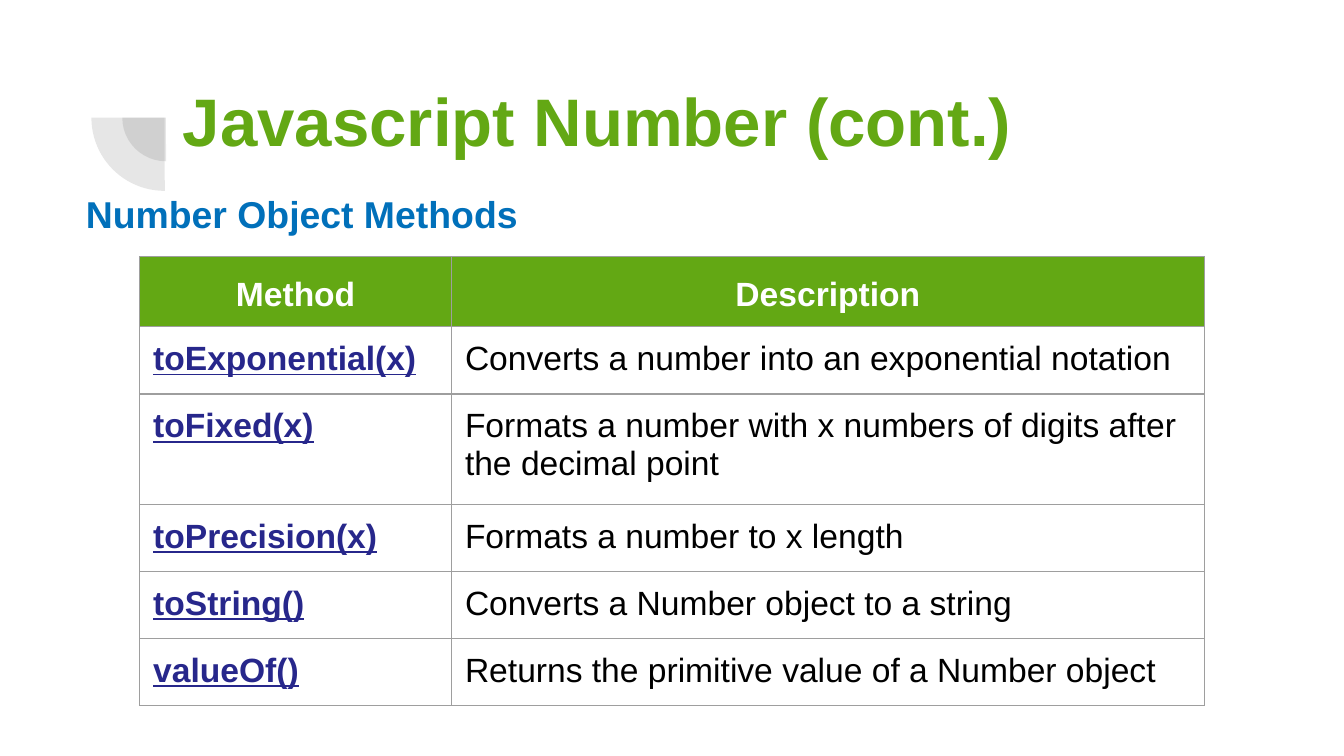
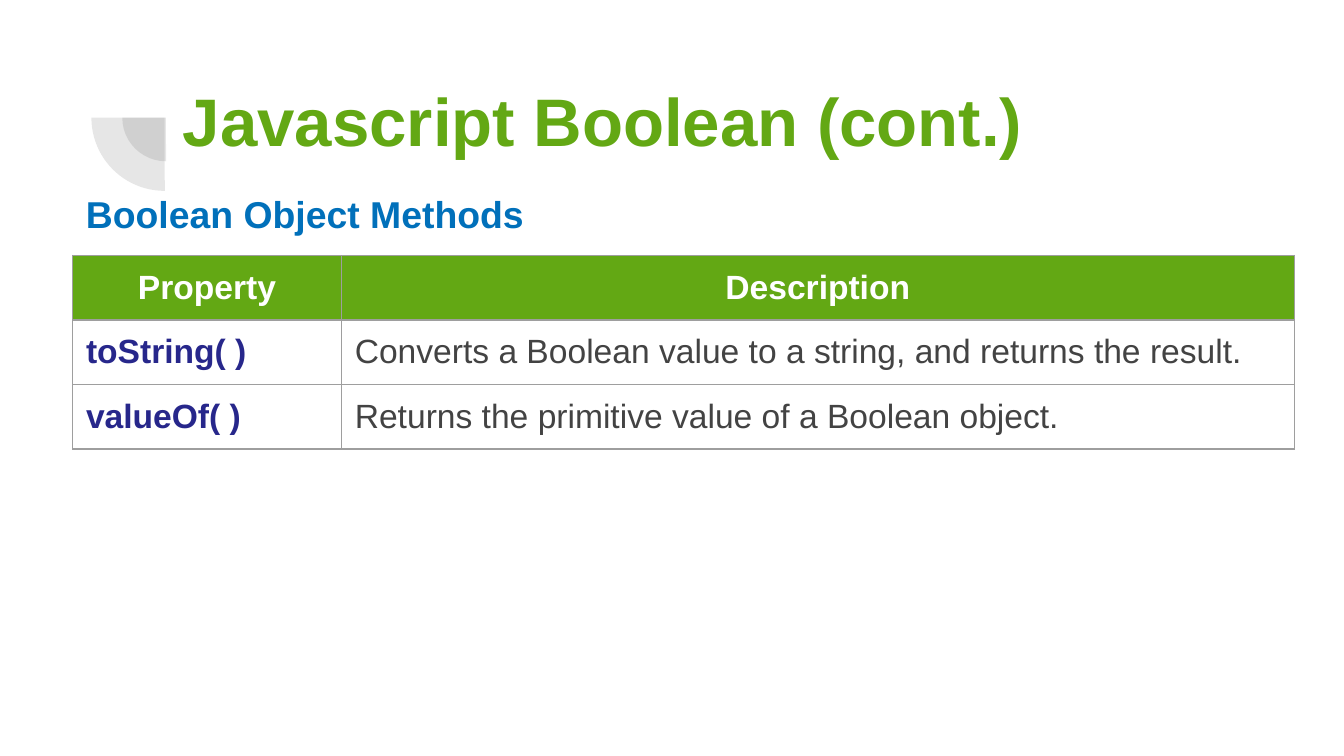
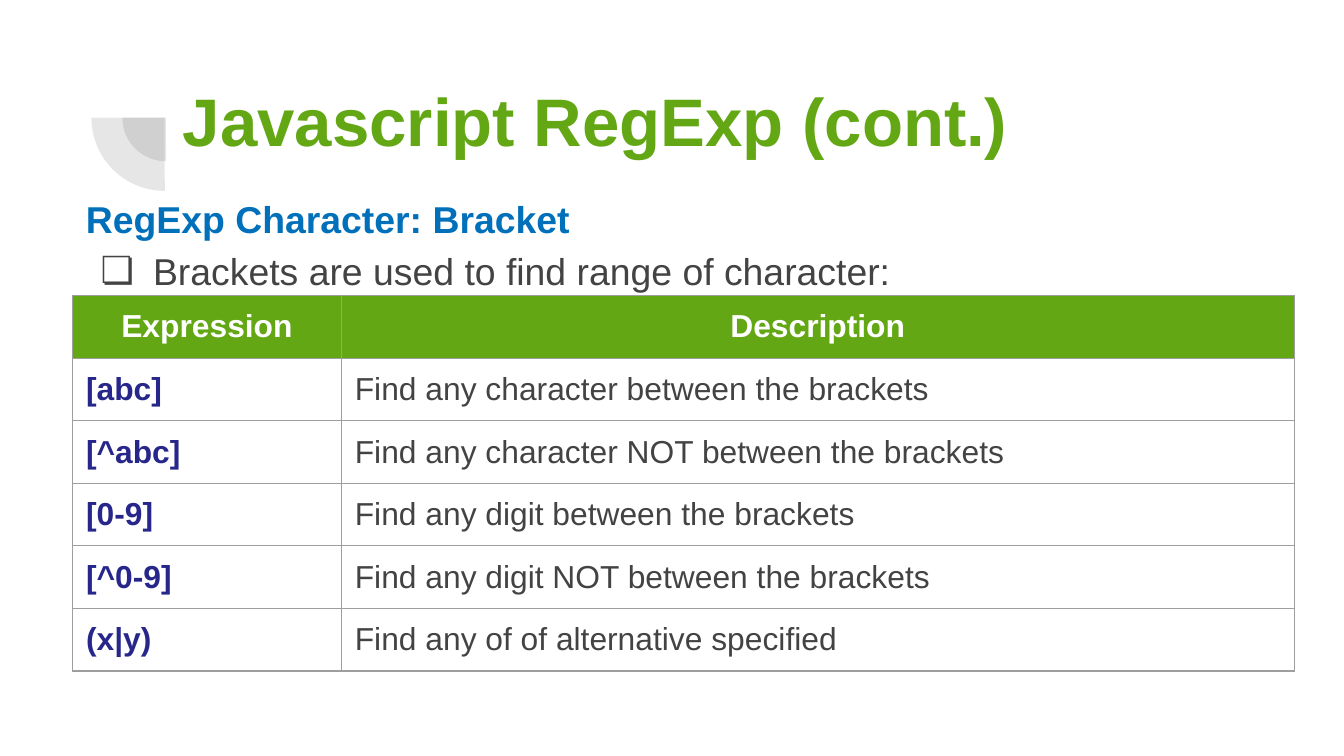
from lxml import etree
from pptx import Presentation
from pptx.dml.color import RGBColor
from pptx.enum.shapes import MSO_SHAPE
from pptx.enum.text import MSO_ANCHOR, MSO_AUTO_SIZE, PP_ALIGN
from pptx.oxml.ns import qn
from pptx.util import Inches, Pt

PIE = MSO_SHAPE.PIE
TOP = MSO_ANCHOR.TOP
NO_FIT = MSO_AUTO_SIZE.NONE
LEFT, CENTER = PP_ALIGN.LEFT, PP_ALIGN.CENTER

FONT = "Arial"
GREEN, BLUE, NAVY = "63A814", "0170BA", "27278B"
GREY, DARK, BLACK, WHITE = "434343", "424242", "000000", "FFFFFF"
BORDER = "9E9E9E"
PLAIN_TABLE_STYLE = "{2D5ABB26-0587-4C30-8999-92F81FD0307C}"
INSET = 0.1
TITLE_BOX = (1.26, 0.49, 7.73, 0.73)
ORNAMENT_BOXES = ((0.91, 0.55, 0.65, 0.65), (0.68, 0.33, 1.09, 1.09))


def rgb(value):
    return RGBColor.from_string(value)


def write(paragraph, text, size=18, color=BLACK, bold=False, underline=False,
          align=LEFT, spacing=1.0, before=0, after=0):
    paragraph.alignment = align
    paragraph.line_spacing = spacing
    paragraph.space_before = Pt(before)
    paragraph.space_after = Pt(after)
    run = paragraph.add_run()
    run.text = text
    font = run.font
    font.name, font.size = FONT, Pt(size)
    font.bold, font.underline = bold, underline
    font.color.rgb = rgb(color)


def place(shape, left, top, width, height):
    shape.left, shape.top = Inches(left), Inches(top)
    shape.width, shape.height = Inches(width), Inches(height)


def prepare(frame):
    frame.word_wrap = True
    frame.auto_size = NO_FIT
    frame.vertical_anchor = TOP
    frame.margin_left = frame.margin_right = Inches(INSET)
    frame.margin_top = frame.margin_bottom = Inches(INSET)


def add_ornament(layout, slide):
    """Build the two quarter discs and move them to the shared layout."""
    for box in ORNAMENT_BOXES:
        disc = slide.shapes.add_shape(PIE, 0, 0, 0, 0)
        place(disc, *box)
        disc.rotation = 270
        disc.adjustments[0], disc.adjustments[1] = 107.93, 162
        disc.shadow.inherit = False
        disc.line.fill.background()
        disc.fill.solid()
        disc.fill.fore_color.rgb = rgb(DARK)
        color = disc.fill._xPr.find(".//" + qn("a:srgbClr"))
        etree.SubElement(color, qn("a:alpha"), val="13000")
        layout.shapes._spTree.append(disc._element)


def add_title(slide, text):
    title = slide.shapes.title
    place(title, *TITLE_BOX)
    prepare(title.text_frame)
    write(title.text_frame.paragraphs[0], text, size=36, color=GREEN,
          bold=True, after=16)


def set_bullet(paragraph, char, color, left, hanging):
    properties = paragraph._p.get_or_add_pPr()
    properties.set("marL", str(Inches(left)))
    properties.set("indent", str(-Inches(hanging)))
    bullet_color = etree.SubElement(properties, qn("a:buClr"))
    etree.SubElement(bullet_color, qn("a:srgbClr"), val=color)
    etree.SubElement(properties, qn("a:buSzPct"), val="100000")
    etree.SubElement(properties, qn("a:buFont"), typeface=FONT)
    etree.SubElement(properties, qn("a:buChar"), char=char)


def add_intro(slide, box, heading, point=None, spacing=1.0):
    intro = slide.shapes.add_textbox(0, 0, 0, 0)
    place(intro, *box)
    frame = intro.text_frame
    prepare(frame)
    write(frame.paragraphs[0], heading, size=20, color=BLUE, bold=True,
          spacing=spacing)
    if point:
        paragraph = frame.add_paragraph()
        set_bullet(paragraph, "❏", GREY, left=0.5, hanging=0.39)
        write(paragraph, point, size=20, color=GREY, before=4)


def set_borders(cell):
    properties = cell._tc.get_or_add_tcPr()
    for position, side in enumerate(("lnL", "lnR", "lnT", "lnB")):
        line = etree.Element(qn("a:" + side), w=str(Pt(0.75)))
        fill = etree.SubElement(line, qn("a:solidFill"))
        etree.SubElement(fill, qn("a:srgbClr"), val=BORDER)
        properties.insert(position, line)


def add_reference_table(slide, left, top, columns, heights, rows, size=18,
                        body_color=GREY, underline=False, header_spacing=1.0):
    """Add a two-column table whose first row is the header."""
    table = slide.shapes.add_table(
        len(rows), len(columns), Inches(left), Inches(top),
        Inches(sum(columns)), Inches(sum(heights))).table
    table.horz_banding = False
    table._tbl.tblPr.find(qn("a:tableStyleId")).text = PLAIN_TABLE_STYLE
    for column, width in zip(table.columns, columns):
        column.width = Inches(width)
    header = dict(color=WHITE, bold=True, align=CENTER, spacing=header_spacing)
    term = dict(color=NAVY, bold=True, underline=underline)
    description = dict(color=body_color)
    for r, (texts, height) in enumerate(zip(rows, heights)):
        table.rows[r].height = Inches(height)
        styles = (term, description) if r else (header, header)
        for c, (text, style) in enumerate(zip(texts, styles)):
            cell = table.cell(r, c)
            cell.margin_left = cell.margin_right = Inches(INSET)
            cell.margin_top = cell.margin_bottom = Inches(INSET)
            cell.vertical_anchor = TOP
            if r:
                cell.fill.background()
            else:
                cell.fill.solid()
                cell.fill.fore_color.rgb = rgb(GREEN)
            set_borders(cell)
            write(cell.text_frame.paragraphs[0], text, size=size, **style)


def number_slide(slide):
    add_title(slide, "Javascript Number (cont.)")
    add_intro(slide, (0.54, 1.27, 8.95, 4.24), "Number Object Methods",
              spacing=1.15)
    rows = [
        ("Method", "Description"),
        ("toExponential(x)", "Converts a number into an exponential notation"),
        ("toFixed(x)", "Formats a number with x numbers of digits after "
                       "the decimal point"),
        ("toPrecision(x)", "Formats a number to x length"),
        ("toString()", "Converts a Number object to a string"),
        ("valueOf()", "Returns the primitive value of a Number object"),
    ]
    add_reference_table(slide, 1.04, 1.91, (2.32, 5.6),
                        (0.5, 0.5, 0.82, 0.5, 0.5, 0.5), rows,
                        body_color=BLACK, underline=True, header_spacing=1.15)


def boolean_slide(slide):
    add_title(slide, "Javascript Boolean (cont.)")
    add_intro(slide, (0.54, 1.27, 8.95, 4.24), "Boolean Object Methods",
              spacing=1.15)
    rows = [
        ("Property", "Description"),
        ("toString( )",
         "Converts a Boolean value to a string, and returns the result."),
        ("valueOf( )", "Returns the primitive value of a Boolean object."),
    ]
    add_reference_table(slide, 0.54, 1.9, (2, 7.09), (0.36, 0.43, 0.43), rows)


def regexp_slide(slide):
    rows = [
        ("Expression", "Description"),
        ("[abc]", "Find any character between the brackets"),
        ("[^abc]", "Find any character NOT between the brackets"),
        ("[0-9]", "Find any digit between the brackets"),
        ("[^0-9]", "Find any digit NOT between the brackets"),
        ("(x|y)", "Find any of of alternative specified"),
    ]
    add_reference_table(slide, 0.54, 2.2, (2, 7.09),
                        (0.32, 0.3, 0.43, 0.43, 0.43, 0.43), rows, size=17)
    add_title(slide, "Javascript RegExp (cont.)")
    add_intro(slide, (0.54, 1.36, 8.95, 4.24), "RegExp Character: Bracket",
              point="Brackets are used to find range of character:")


def main():
    deck = Presentation()
    deck.slide_width = Inches(10)
    deck.slide_height = deck.slide_width * 9 // 16
    layout = deck.slide_layouts.get_by_name("Title Only")
    slides = [deck.slides.add_slide(layout) for _ in range(3)]
    add_ornament(layout, slides[0])
    for build, slide in zip((number_slide, boolean_slide, regexp_slide), slides):
        build(slide)
    deck.save("out.pptx")


if __name__ == "__main__":
    main()
